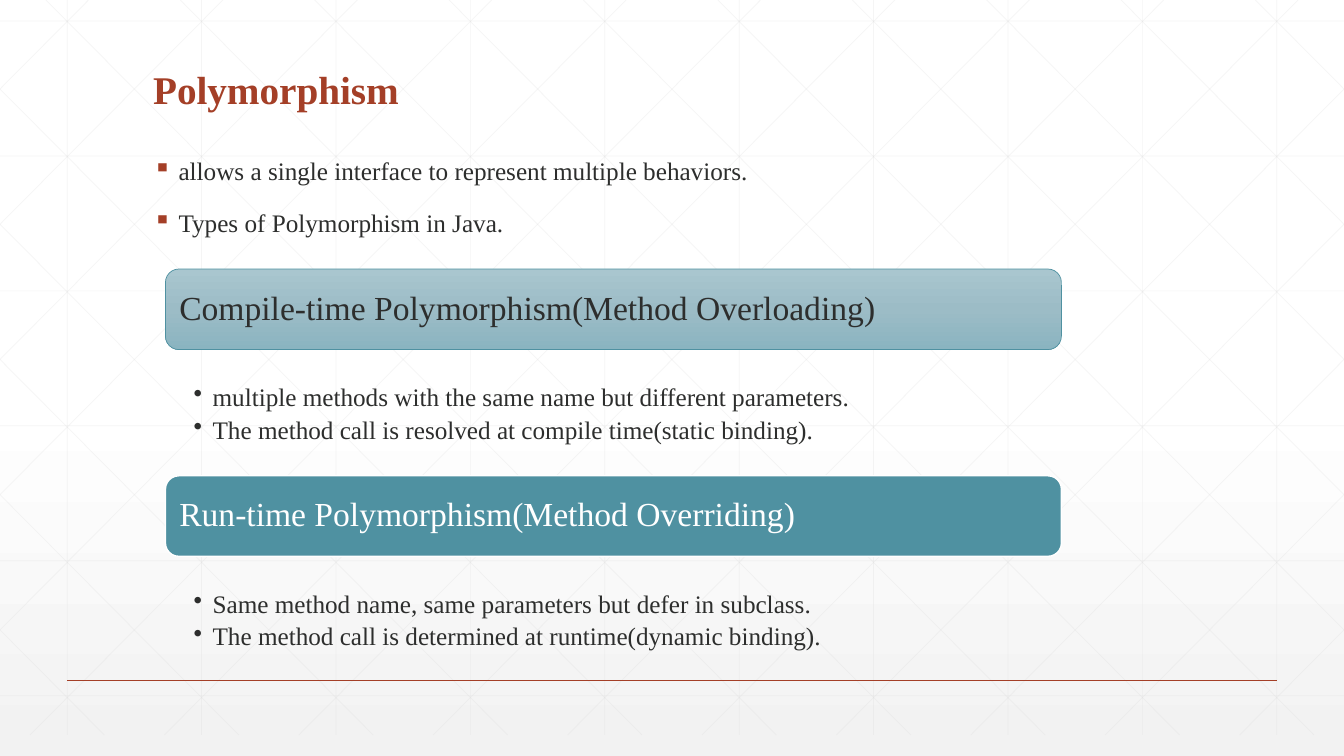
from dataclasses import dataclass

from lxml import etree
from pptx import Presentation
from pptx.dml.color import RGBColor
from pptx.enum.shapes import MSO_CONNECTOR, MSO_SHAPE
from pptx.enum.text import MSO_ANCHOR, PP_ALIGN
from pptx.oxml.ns import qn
from pptx.util import Cm, Pt

STRAIGHT = MSO_CONNECTOR.STRAIGHT
ROUND_RECT = MSO_SHAPE.ROUNDED_RECTANGLE
TOP, MIDDLE, BOTTOM = MSO_ANCHOR.TOP, MSO_ANCHOR.MIDDLE, MSO_ANCHOR.BOTTOM
LEFT = PP_ALIGN.LEFT

FONT = "Times New Roman"
COLORS = {
    "accent": "A43F27", "text": "2D2E2D", "white": "FFFFFF", "grid": "D9D9D9",
    "fade": "F2F2F2", "teal": "4F91A1",
    "band_top": "A9C6CF", "band_mid": "9CBCC6", "band_end": "8AB4C0",
}

# All lengths below are centimetres.
WIDTH, HEIGHT = 33.87, 19.05
PITCH_X, PITCH_Y = WIDTH / 10, 3.4
GRID_TOP, GRID_BOTTOM = -0.53, 18.52
DIAGONAL_START, DIAGONAL_RUN = 0.63, 0.994
BAND_LEFT, BAND_TOP, BAND_WIDTH, BAND_HEIGHT, BAND_PITCH = 4.17, 6.78, 22.58, 2.03, 5.21
DETAIL_OFFSET, DETAIL_HEIGHT = 2.83, 1.6


@dataclass
class Style:
    size: float
    color: str
    bold: bool = False
    bullet: str = ""
    bullet_color: str = "text"
    indent: float = 0
    before: float = 0
    after: float = 0


@dataclass
class Band:
    heading: str
    details: list[str]
    fill: list[tuple[int, str]]
    line: str
    line_width: float
    text: str


TITLE = Style(28, "accent", bold=True)
POINT = Style(18, "text", bullet="▪", bullet_color="accent", indent=0.64, before=18)
DETAIL = Style(18, "text", bullet="•", indent=0.48, after=4.1)

POINTS = [
    "allows a single interface to represent multiple behaviors.",
    "Types of Polymorphism in Java.",
]
BANDS = [
    Band("Compile-time Polymorphism(Method Overloading)",
         ["multiple methods with the same name but different parameters.",
          "The method call is resolved at compile time(static binding)."],
         [(0, "band_top"), (50, "band_mid"), (100, "band_end")], "teal", 0.5, "text"),
    Band("Run-time Polymorphism(Method Overriding)",
         ["Same method name, same parameters but defer in subclass.",
          "The method call is determined at runtime(dynamic binding)."],
         [(0, "teal")], "white", 1, "white"),
]


def rgb(name: str) -> RGBColor:
    return RGBColor.from_string(COLORS[name])


def set_gradient(fill, element, stops: list[tuple[int, str]]) -> None:
    """Fill from top to bottom with any number of (percent, colour) stops."""
    fill.gradient()
    fill.gradient_angle = 270
    stop_list = element.find(".//" + qn("a:gsLst"))
    for old in list(stop_list):
        stop_list.remove(old)
    for percent, name in stops:
        gs = etree.SubElement(stop_list, qn("a:gs"), pos=str(percent * 1000))
        etree.SubElement(gs, qn("a:srgbClr"), val=COLORS[name])


def add_line(slide, x1: float, y1: float, x2: float, y2: float,
             color: str = "grid", width: float = 0.5, opacity: int = 25) -> None:
    line = slide.shapes.add_connector(STRAIGHT, Cm(x1), Cm(y1), Cm(x2), Cm(y2))
    line.line.color.rgb = rgb(color)
    line.line.width = Pt(width)
    sp_pr = line.element.spPr
    if opacity < 100:
        etree.SubElement(sp_pr.find(".//" + qn("a:srgbClr")), qn("a:alpha"),
                         val=str(opacity * 1000))
    etree.SubElement(sp_pr, qn("a:effectLst"))


def add_grid(slide) -> None:
    """Draw the pale lattice, with its diagonals clipped to the slide."""
    for col in range(10):
        x = (col + 0.5) * PITCH_X
        add_line(slide, x, 0, x, GRID_BOTTOM)
    for row in range(6):
        y = 0.53 + row * PITCH_Y
        add_line(slide, 0, y, WIDTH, y)
    for k in range(-5, 10):
        start = DIAGONAL_START + k * PITCH_X
        y1 = max(0, GRID_TOP - start / DIAGONAL_RUN)
        y2 = min(GRID_BOTTOM, GRID_TOP + (WIDTH - start) / DIAGONAL_RUN)
        x1, x2 = (start + (y - GRID_TOP) * DIAGONAL_RUN for y in (y1, y2))
        add_line(slide, x1, y1, x2, y2)
        add_line(slide, WIDTH - x1, y1, WIDTH - x2, y2)


def set_bullet(p, style: Style) -> None:
    p_pr = p._p.get_or_add_pPr()
    p_pr.set("marL", str(Cm(style.indent)))
    p_pr.set("indent", str(-Cm(style.indent)))
    color = etree.SubElement(p_pr, qn("a:buClr"))
    etree.SubElement(color, qn("a:srgbClr"), val=COLORS[style.bullet_color])
    etree.SubElement(p_pr, qn("a:buChar"), char=style.bullet)


def write(tf, lines: list[str], style: Style, anchor=TOP,
          insets: tuple[float, float, float, float] = (0.25, 0.13, 0.25, 0.13)) -> None:
    """Fill a text frame; insets are left, top, right, bottom."""
    tf.word_wrap = True
    tf.vertical_anchor = anchor
    tf.margin_left, tf.margin_top, tf.margin_right, tf.margin_bottom = map(Cm, insets)
    for i, text in enumerate(lines):
        p = tf.add_paragraph() if i else tf.paragraphs[0]
        p.alignment = LEFT
        p.line_spacing = 0.9
        p.space_before, p.space_after = Pt(style.before), Pt(style.after)
        if style.bullet:
            set_bullet(p, style)
        r = p.add_run()
        r.text = text
        r.font.name = FONT
        r.font.size = Pt(style.size)
        r.font.bold = style.bold
        r.font.color.rgb = rgb(style.color)


def add_text(slide, x: float, y: float, w: float, h: float):
    return slide.shapes.add_textbox(Cm(x), Cm(y), Cm(w), Cm(h)).text_frame


def add_band(slide, band: Band, top: float) -> None:
    sp = slide.shapes.add_shape(ROUND_RECT, Cm(BAND_LEFT), Cm(top),
                                Cm(BAND_WIDTH), Cm(BAND_HEIGHT))
    sp.shadow.inherit = False
    if len(band.fill) > 1:
        set_gradient(sp.fill, sp.element, band.fill)
    else:
        sp.fill.solid()
        sp.fill.fore_color.rgb = rgb(band.fill[0][1])
    sp.line.color.rgb = rgb(band.line)
    sp.line.width = Pt(band.line_width)
    write(sp.text_frame, [band.heading], Style(24, band.text), MIDDLE)
    details = add_text(slide, BAND_LEFT, top + DETAIL_OFFSET, BAND_WIDTH, DETAIL_HEIGHT)
    write(details, band.details, DETAIL, insets=(0.71, 0.08, 0.36, 0.08))


def main() -> None:
    prs = Presentation()
    prs.slide_width, prs.slide_height = Cm(WIDTH), Cm(HEIGHT)
    s = prs.slides.add_slide(prs.slide_layouts[6])
    set_gradient(s.background.fill, s.element, [(0, "white"), (53, "white"), (100, "fade")])
    add_grid(s)
    add_line(s, PITCH_X / 2, 17.15, WIDTH - PITCH_X / 2, 17.15, "accent", 1, 100)
    write(add_text(s, 3.61, 1.4, 26.67, 1.57), ["Polymorphism"], TITLE, BOTTOM)
    write(add_text(s, 3.61, 3.86, 26.67, 2.8), POINTS, POINT)
    for i, band in enumerate(BANDS):
        add_band(s, band, BAND_TOP + i * BAND_PITCH)
    prs.save("out.pptx")


if __name__ == "__main__":
    main()
